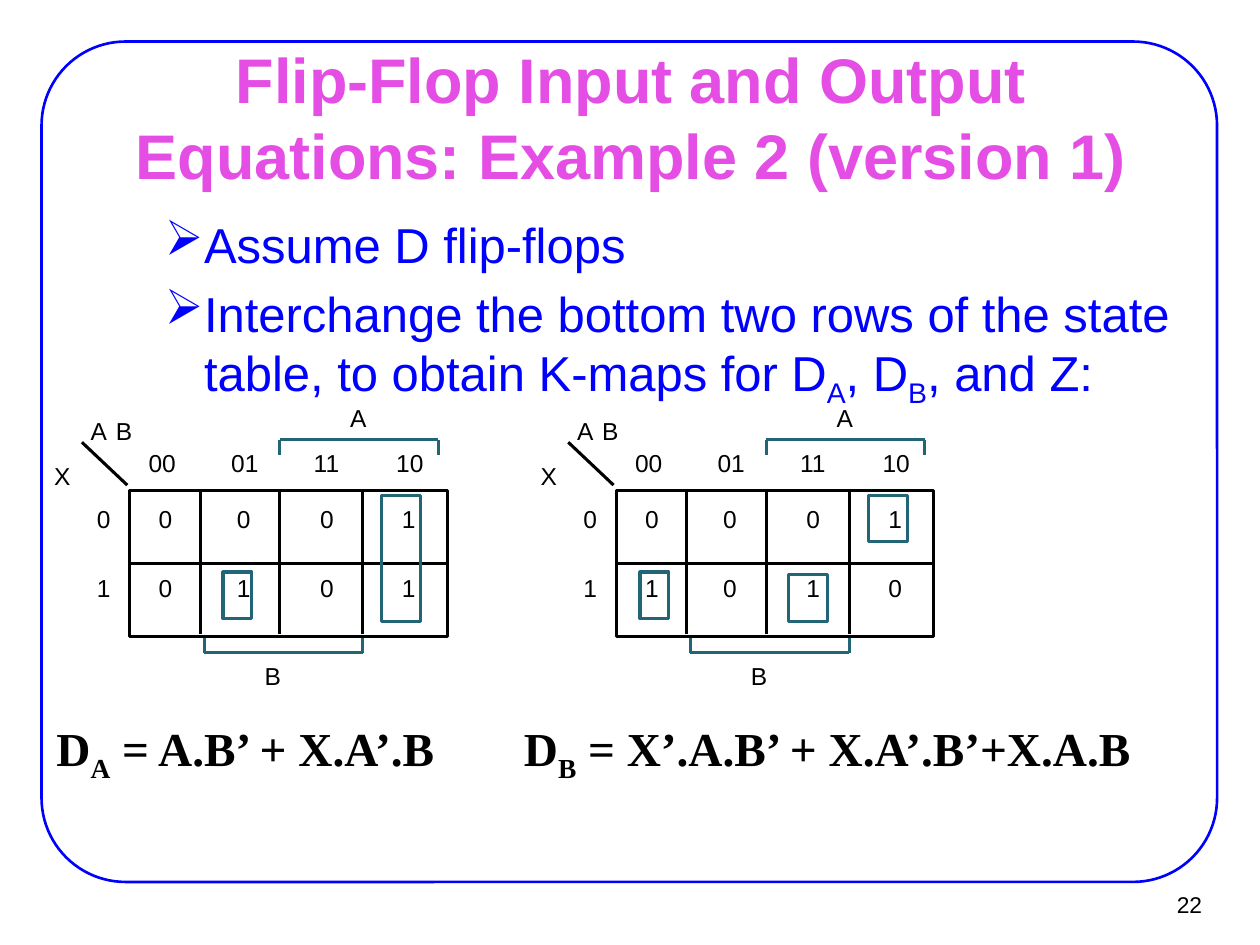
"""Build the slide with flip-flop input equations and their K-maps."""
from dataclasses import dataclass

import lxml.etree
import pptx
import pptx.dml.color
import pptx.enum.shapes
import pptx.enum.text
import pptx.oxml.ns
import pptx.util

Inches = pptx.util.Inches
Pt = pptx.util.Pt
qn = pptx.oxml.ns.qn
MSO_SHAPE = pptx.enum.shapes.MSO_SHAPE
ANCHOR = pptx.enum.text.MSO_ANCHOR
ALIGN = pptx.enum.text.PP_ALIGN


@dataclass(frozen=True)
class Theme:
    sans: str = "Arial"
    serif: str = "Times New Roman"
    blue: str = "0000FF"
    pink: str = "E44EE4"
    teal: str = "226577"
    black: str = "000000"
    title: int = 36
    body: int = 28
    equation: int = 27
    label: int = 14
    number: int = 13
    frame_line: float = 1.5
    map_line: float = 1.75


@dataclass(frozen=True)
class Box:
    x: float
    y: float
    w: float
    h: float

    def lengths(self) -> tuple:
        return tuple(Inches(v) for v in (self.x, self.y, self.w, self.h))


@dataclass(frozen=True)
class Style:
    size: int
    color: str
    font: str = Theme.sans
    bold: bool = False


@dataclass(frozen=True)
class KMap:
    left: float
    rows: tuple[str, str]
    loops: tuple[Box, ...]


THEME = Theme()
LABEL = Style(THEME.label, THEME.black)
EQUATION = Style(THEME.equation, THEME.black, THEME.serif, True)
COLUMN_CODES = ("00", "01", "11", "10")
CELL_X = (0.23, 0.85, 1.51, 2.16)
ROW_Y = (4.0, 4.55)
DIVIDERS = (0.56, 1.19, 1.85)
MAPS = (
    KMap(1.03, ("0001", "0101"),
         (Box(2.0, 3.93, 0.31, 1), Box(0.74, 4.54, 0.23, 0.37))),
    KMap(4.89, ("0001", "1010"),
         (Box(2.0, 3.93, 0.31, 0.37), Box(0.19, 4.54, 0.23, 0.37),
          Box(1.37, 4.56, 0.31, 0.37))),
)


def rgb(color: str):
    return pptx.dml.color.RGBColor.from_string(color)


def add_outline(slide, box: Box, color: str, width: float, kind=MSO_SHAPE.RECTANGLE):
    sp = slide.shapes.add_shape(kind, *box.lengths())
    sp.shadow.inherit = False
    sp.fill.background()
    sp.line.color.rgb = rgb(color)
    sp.line.width = Pt(width)
    return sp


def add_line(slide, x1: float, y1: float, x2: float, y2: float, color: str):
    line = slide.shapes.add_connector(
        pptx.enum.shapes.MSO_CONNECTOR.STRAIGHT,
        Inches(x1), Inches(y1), Inches(x2), Inches(y2))
    line.line.color.rgb = rgb(color)
    line.line.width = Pt(THEME.map_line)
    lxml.etree.SubElement(line._element.spPr, qn("a:effectLst"))
    return line


def add_frame(slide, box: Box, margin_x: float = 0, margin_y: float = 0, anchor=ANCHOR.TOP):
    tf = slide.shapes.add_textbox(*box.lengths()).text_frame
    tf.word_wrap = True
    tf.margin_left = tf.margin_right = Inches(margin_x)
    tf.margin_top = tf.margin_bottom = Inches(margin_y)
    tf.vertical_anchor = anchor
    return tf


def write(p, parts: tuple[str, ...], style: Style) -> None:
    """Write parts as runs, with every second part as a subscript."""
    for i, part in enumerate(parts):
        r = p.add_run()
        r.text = part
        r.font.name = style.font
        r.font.size = Pt(style.size)
        r.font.bold = style.bold
        r.font.color.rgb = rgb(style.color)
        if i % 2:
            r.font._element.set("baseline", "-25000")


def add_label(slide, x: float, y: float, text: str) -> None:
    write(add_frame(slide, Box(x, y, 0.27, 0.23)).paragraphs[0], (text,), LABEL)


def add_bracket(slide, x: float, bar_y: float, tip_y: float) -> None:
    right = x + 1.26
    add_line(slide, x, tip_y, x, bar_y, THEME.teal)
    add_line(slide, x, bar_y, right, bar_y, THEME.teal)
    add_line(slide, right, tip_y, right, bar_y, THEME.teal)


def add_kmap(slide, kmap: KMap) -> None:
    x = kmap.left
    grid = add_outline(slide, Box(x, 3.89, 2.52, 1.16), THEME.black, THEME.map_line)
    middle = add_line(slide, x, 4.47, x + 2.52, 4.47, THEME.black)
    middle.begin_connect(grid, 1)
    middle.end_connect(grid, 3)
    for dx in DIVIDERS:
        add_line(slide, x + dx, 3.88, x + dx, 5.03, THEME.black)
    add_line(slide, x - 0.02, 3.85, x - 0.38, 3.51, THEME.black)
    add_bracket(slide, x + 0.59, 5.18, 5.06)
    add_bracket(slide, x + 1.19, 3.49, 3.61)
    for dx, y, text in ((-0.31, 3.3, "A"), (-0.11, 3.3, "B"), (1.75, 3.2, "A"),
                        (1.07, 5.25, "B"), (-0.6, 3.66, "X")):
        add_label(slide, x + dx, y, text)
    for i, code in enumerate(COLUMN_CODES):
        add_label(slide, x + 0.15 + 0.655 * i, 3.56, code)
    for i, (y, values) in enumerate(zip(ROW_Y, kmap.rows)):
        add_label(slide, x - 0.26, y, str(i))
        for dx, value in zip(CELL_X, values):
            add_label(slide, x + dx, y, value)
    for loop in kmap.loops:
        add_outline(slide, Box(x + loop.x, loop.y, loop.w, loop.h),
                    THEME.teal, THEME.map_line)


def add_bullets(slide, box: Box, items: tuple[tuple[str, ...], ...]) -> None:
    tf = add_frame(slide, box, 0.11, 0.06)
    for i, parts in enumerate(items):
        p = tf.add_paragraph() if i else tf.paragraphs[0]
        pPr = p._p.get_or_add_pPr()
        pPr.set("marL", str(Inches(0.81)))
        pPr.set("indent", str(Inches(-0.31)))
        lxml.etree.SubElement(pPr, qn("a:buChar")).set("char", "➢")
        if i:
            p.space_before = Pt(6)
        write(p, parts, Style(THEME.body, THEME.blue))


def main() -> None:
    prs = pptx.Presentation()
    prs.slide_width, prs.slide_height = Inches(10), Inches(7.5)
    slide = prs.slides.add_slide(prs.slide_layouts[6])
    border = add_outline(slide, Box(0.33, 0.33, 9.33, 6.67), THEME.blue,
                         THEME.frame_line, MSO_SHAPE.ROUNDED_RECTANGLE)
    border.adjustments[0] = 0.1
    p = add_frame(slide, Box(9.02, 6.99, 0.61, 0.37), 0.09, 0.04, ANCHOR.MIDDLE).paragraphs[0]
    p.alignment = ALIGN.RIGHT
    write(p, ("22",), Style(THEME.number, THEME.black))
    p = add_frame(slide, Box(0.76, 0.68, 8.5, 0.49), 0.11, 0.06, ANCHOR.MIDDLE).paragraphs[0]
    p.alignment = ALIGN.CENTER
    write(p, ("Flip-Flop Input and Output Equations: Example 2 (version 1)",),
          Style(THEME.title, THEME.pink, bold=True))
    for kmap in MAPS:
        add_kmap(slide, kmap)
    for box, parts in ((Box(0.35, 5.66, 3.7, 0.55), ("D", "A", " = A.B’ + X.A’.B")),
                       (Box(4.06, 5.66, 5.79, 0.55), ("D", "B", " = X’.A.B’ + X.A’.B’+X.A.B"))):
        write(add_frame(slide, box, 0.1, 0.05).paragraphs[0], parts, EQUATION)
    add_bullets(slide, Box(0.7, 1.64, 8.8, 1.95), (
        ("Assume D flip-flops",),
        ("Interchange the bottom two rows of the state table, to obtain K-maps for D",
         "A", ", D", "B", ", and Z:")))
    prs.save("out.pptx")


if __name__ == "__main__":
    main()
